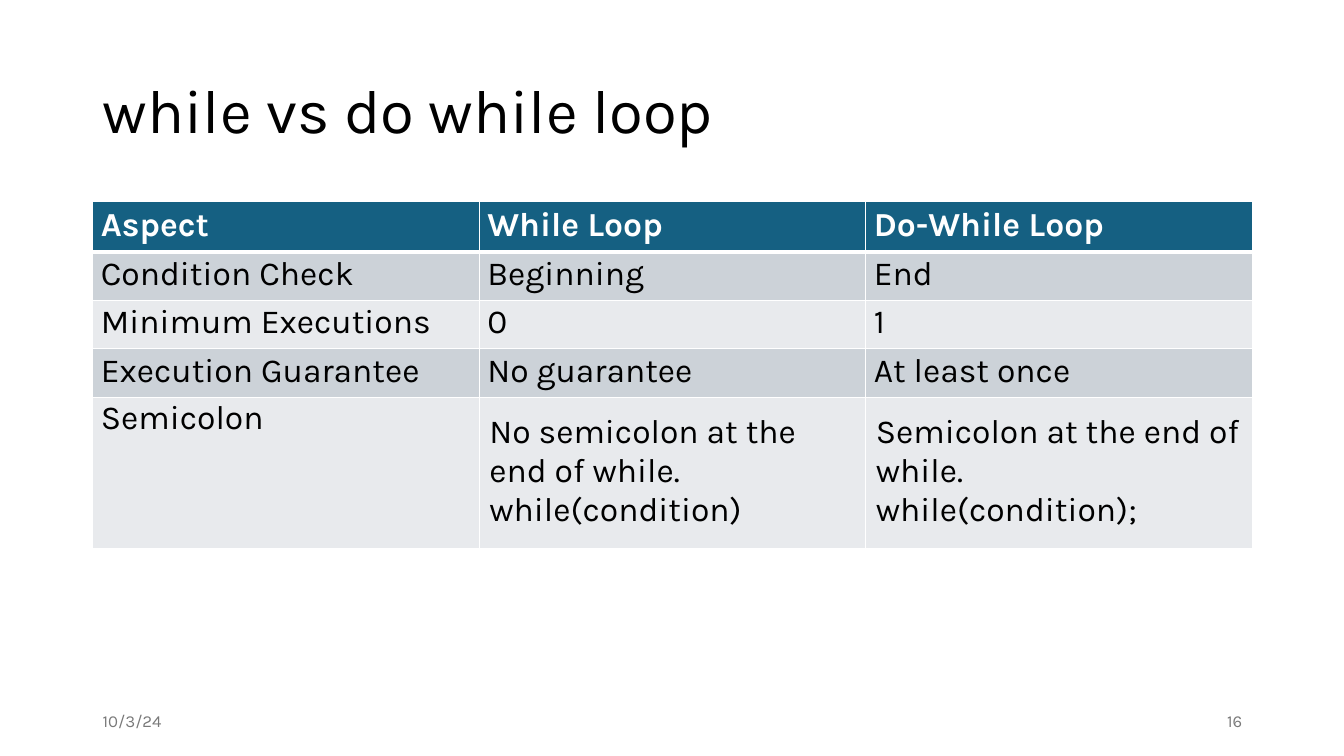
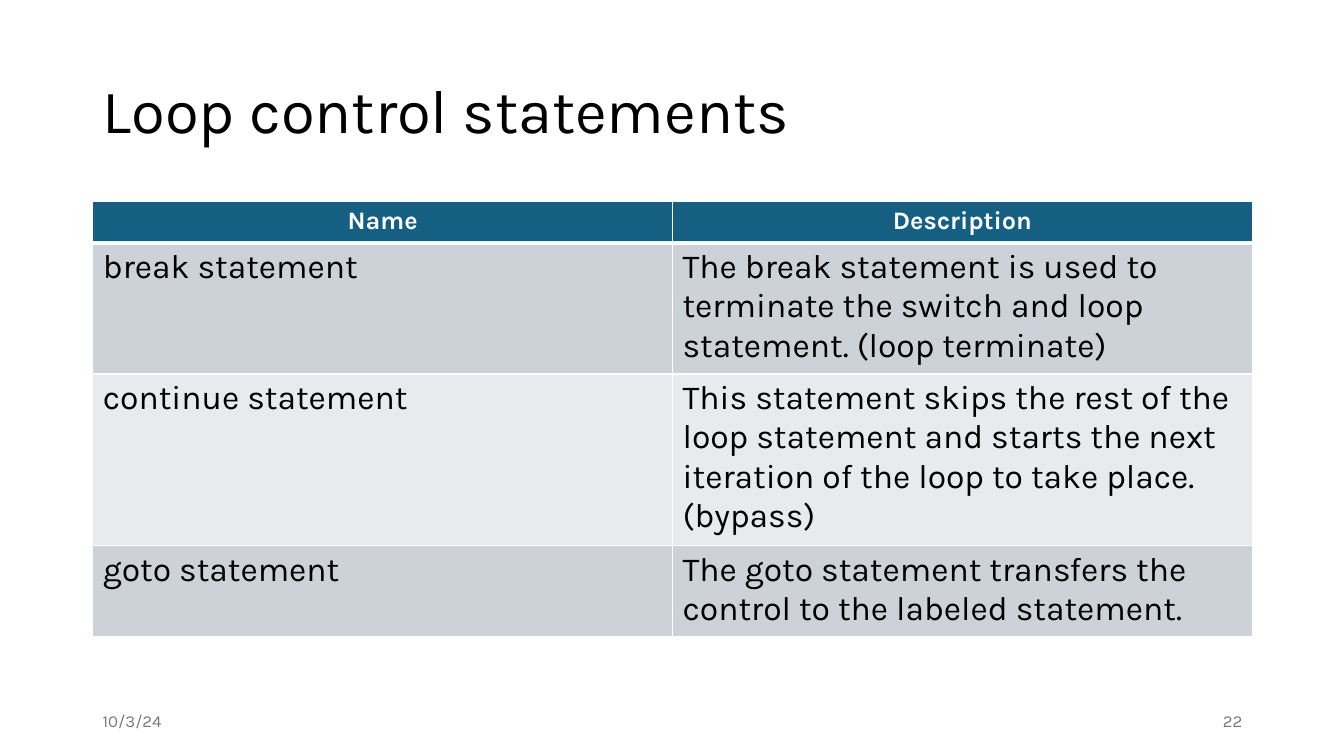
"""Build two slides that compare C loops and list loop control statements."""
from lxml.etree import SubElement
from pptx import Presentation
from pptx.dml.color import RGBColor
from pptx.enum.text import MSO_ANCHOR, PP_ALIGN
from pptx.oxml.ns import qn
from pptx.util import Inches, Pt

FONT = "Karla"
BLACK, WHITE, GREY = "000000", "FFFFFF", "797979"
HEADER, BANDS = "156082", ("CCD2D8", "E8EAED")
LEFT, WIDTH, TABLE_TOP, ROW_HEIGHT = 0.92, 11.5, 2, 0.41
FOOTER_TOP, FOOTER_WIDTH = 6.95, 3
DATE = "10/3/24"

DEFAULT_INSETS = (0.1, 0.05, 0.1, 0.05)
HEAD_INSETS = (0.08, 0.04, 0.08, 0.06)
BODY_INSETS = (0.08, 0.02, 0.08, 0.06)
NOTE_INSETS = (0.1, 0.15, 0.1, 0.15)

SLIDES = [
    {
        "title": "while vs do while loop",
        "number": "16",
        "head_size": 24,
        "head_align": PP_ALIGN.LEFT,
        "insets": (HEAD_INSETS, BODY_INSETS),
        "middle_rows": range(4),
        "special_insets": {(4, 1): NOTE_INSETS, (4, 2): NOTE_INSETS},
        "rows": [
            ("Aspect", "While Loop", "Do-While Loop"),
            ("Condition Check", "Beginning", "End"),
            ("Minimum Executions", "0", "1"),
            ("Execution Guarantee", "No guarantee", "At least once"),
            ("Semicolon",
             "No semicolon at the end of while.\nwhile(condition)",
             "Semicolon at the end of while.\nwhile(condition);"),
        ],
    },
    {
        "title": "Loop control statements",
        "number": "22",
        "head_size": 18,
        "head_align": PP_ALIGN.CENTER,
        "insets": (DEFAULT_INSETS, DEFAULT_INSETS),
        "middle_rows": (),
        "special_insets": {},
        "rows": [
            ("Name", "Description"),
            ("break statement",
             "The break statement is used to terminate the switch and loop "
             "statement. (loop terminate)"),
            ("continue statement",
             "This statement skips the rest of the loop statement and starts "
             "the next iteration of the loop to take place. (bypass)"),
            ("goto statement",
             "The goto statement transfers the control to the labeled statement."),
        ],
    },
]


def rgb(color):
    return RGBColor.from_string(color)


def write(p, text, size, color, align=PP_ALIGN.LEFT, bold=False):
    p.text = text
    p.alignment = align
    p.font.name = FONT
    p.font.size = Pt(size)
    p.font.bold = bold
    p.font.color.rgb = rgb(color)


def add_text(s, box, text, size, color, align=PP_ALIGN.LEFT):
    tf = s.shapes.add_textbox(*map(Inches, box)).text_frame
    tf.word_wrap = True
    tf.vertical_anchor = MSO_ANCHOR.MIDDLE
    p = tf.paragraphs[0]
    write(p, text, size, color, align)
    return p


def set_borders(cell, bottom):
    tc_pr = cell._tc.get_or_add_tcPr()
    for side, width in (("L", 1), ("R", 1), ("T", 1), ("B", bottom)):
        ln = SubElement(tc_pr, qn(f"a:ln{side}"), w=str(Pt(width)))
        fill = SubElement(ln, qn("a:solidFill"))
        SubElement(fill, qn("a:srgbClr"), val=WHITE)


def add_table(s, data):
    rows = data["rows"]
    n_rows, n_cols = len(rows), len(rows[0])
    table = s.shapes.add_table(
        n_rows, n_cols, Inches(LEFT), Inches(TABLE_TOP),
        Inches(WIDTH), Inches(ROW_HEIGHT * n_rows)).table
    table.horz_banding = False
    for i, row in enumerate(rows):
        head = i == 0
        for j, text in enumerate(row):
            cell = table.cell(i, j)
            insets = data["special_insets"].get((i, j), data["insets"][not head])
            (cell.margin_left, cell.margin_top,
             cell.margin_right, cell.margin_bottom) = map(Inches, insets)
            middle = i in data["middle_rows"]
            cell.vertical_anchor = MSO_ANCHOR.MIDDLE if middle else MSO_ANCHOR.TOP
            set_borders(cell, 3 if head else 1)
            cell.fill.solid()
            cell.fill.fore_color.rgb = rgb(HEADER if head else BANDS[(i - 1) % 2])
            p = cell.text_frame.paragraphs[0]
            if head:
                write(p, text, data["head_size"], WHITE, data["head_align"], True)
            else:
                write(p, text, 24, BLACK)


def add_slide(prs, data):
    s = prs.slides.add_slide(prs.slide_layouts[6])
    title = add_text(s, (LEFT, 0.4, WIDTH, 1.45), data["title"], 44, BLACK)
    title.line_spacing = 0.9
    add_table(s, data)
    number_left = LEFT + WIDTH - FOOTER_WIDTH
    for left, text, align in ((LEFT, DATE, PP_ALIGN.LEFT),
                              (number_left, data["number"], PP_ALIGN.RIGHT)):
        add_text(s, (left, FOOTER_TOP, FOOTER_WIDTH, 0.4), text, 12, GREY, align)


def main():
    prs = Presentation()
    prs.slide_width, prs.slide_height = Inches(13.33), Inches(7.5)
    for data in SLIDES:
        add_slide(prs, data)
    prs.save("out.pptx")


if __name__ == "__main__":
    main()
